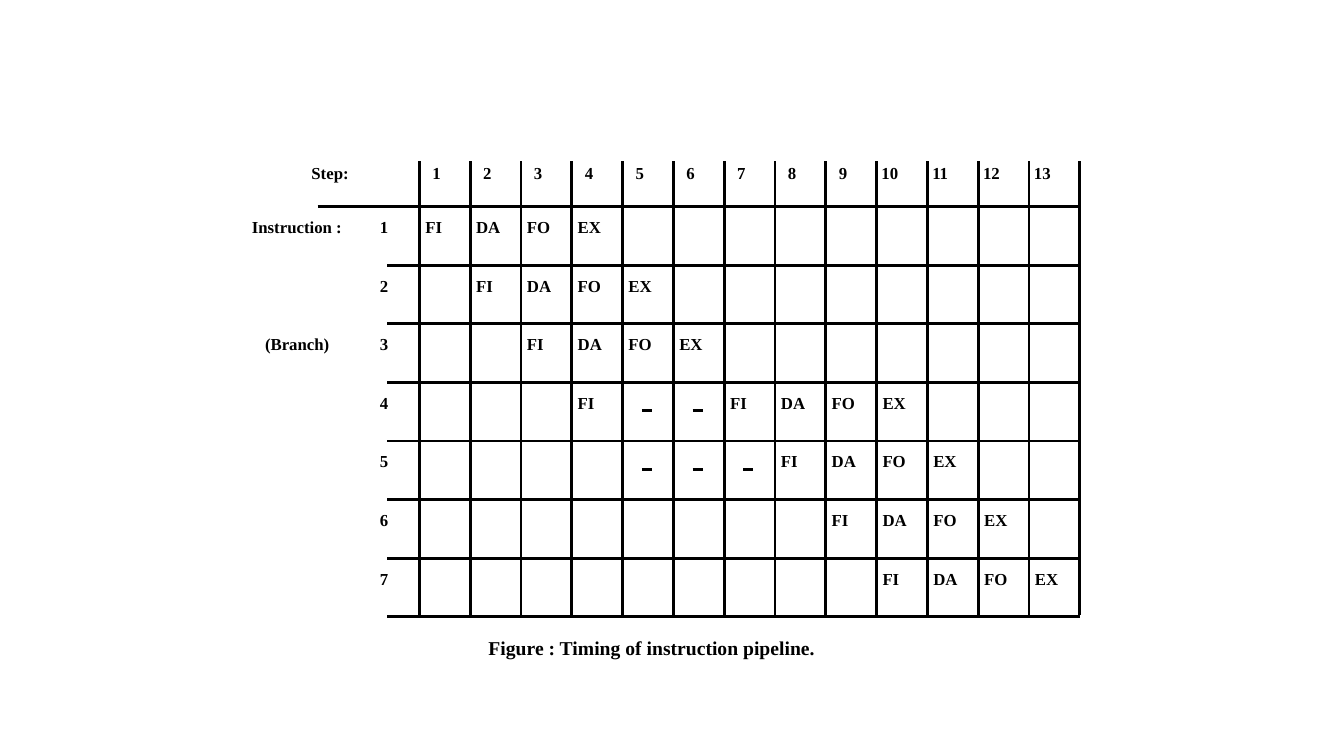
import pptx
import pptx.dml.color
import pptx.enum.shapes
import pptx.enum.text
import pptx.oxml.ns
import pptx.util
from lxml import etree
from pptx.util import Inches

COLORS = {"ink": "000000", "paper": "FFFFFF"}
FONT = "Times New Roman"

STEP_COUNT = 13
INSTRUCTION_COUNT = 7
GRID_LEFT, GRID_RIGHT = 4.16, 10.71
HEADER_TOP, GRID_TOP, GRID_BOTTOM = 1.6, 2.05, 6.12
STEP_WIDTH = (GRID_RIGHT - GRID_LEFT) / STEP_COUNT
INSTRUCTION_HEIGHT = (GRID_BOTTOM - GRID_TOP) / INSTRUCTION_COUNT
STEP_LABEL_TOP = 1.57
LABEL_OFFSET = 0.05

STAGE_WIDTHS = {"FI": 0.37, "DA": 0.45, "FO": 0.44, "EX": 0.44}
PIPELINE_STARTS = [1, 2, 3, 7, 8, 9, 10]
DISCARDED_FETCH = (4, 4)
STALLS = {4: [5, 6], 5: [5, 6, 7]}

deck = pptx.Presentation()
deck.slide_width = Inches(13.33)
deck.slide_height = Inches(7.5)
slide = deck.slides.add_slide(deck.slide_layouts[6])
slide.background.fill.solid()
slide.background.fill.fore_color.rgb = pptx.dml.color.RGBColor.from_string(COLORS["paper"])


def add_text(text, left, top, width, height=0.3, size=12, wrap=False,
             align=pptx.enum.text.PP_ALIGN.LEFT):
    box = slide.shapes.add_textbox(Inches(left), Inches(top), Inches(width), Inches(height))
    frame = box.text_frame
    frame.word_wrap = wrap
    frame.auto_size = pptx.enum.text.MSO_AUTO_SIZE.SHAPE_TO_FIT_TEXT
    paragraph = frame.paragraphs[0]
    paragraph.alignment = align
    run = paragraph.add_run()
    run.text = text
    run.font.name = FONT
    run.font.size = pptx.util.Pt(size)
    run.font.bold = True
    run.font.color.rgb = pptx.dml.color.RGBColor.from_string(COLORS["ink"])


def add_rule(x1, y1, x2, y2):
    rule = slide.shapes.add_connector(
        pptx.enum.shapes.MSO_CONNECTOR.STRAIGHT,
        Inches(x1), Inches(y1), Inches(x2), Inches(y2))
    rule.line.width = pptx.util.Pt(2)
    rule.line.color.rgb = pptx.dml.color.RGBColor.from_string(COLORS["ink"])
    etree.SubElement(rule._element.spPr, pptx.oxml.ns.qn("a:effectLst"))


step_edges = [GRID_LEFT + i * STEP_WIDTH for i in range(STEP_COUNT + 1)]
instruction_edges = [GRID_TOP + i * INSTRUCTION_HEIGHT for i in range(INSTRUCTION_COUNT + 1)]

for x in step_edges:
    add_rule(x, HEADER_TOP, x, 6.1)
for i, y in enumerate(instruction_edges):
    add_rule(3.84 if i else 3.15, y, GRID_RIGHT, y)

add_text("Step:", 2.99, STEP_LABEL_TOP, 0.58)
for step, x in enumerate(step_edges[:-1], start=1):
    if step < 10:
        add_text(str(step), x + 0.03, STEP_LABEL_TOP, 0.29)
    else:
        add_text(str(step), x - 0.05, STEP_LABEL_TOP, 0.37)

add_text("Instruction :", 2.4, instruction_edges[0] + LABEL_OFFSET, 1.11)
add_text("(Branch)", 2.53, instruction_edges[2] + LABEL_OFFSET, 0.85)

for instruction, start in enumerate(PIPELINE_STARTS, start=1):
    row_top = instruction_edges[instruction - 1]
    label_top = row_top + LABEL_OFFSET
    add_text(str(instruction), 3.67, label_top, 0.29)

    stages = [(start + i, stage) for i, stage in enumerate(STAGE_WIDTHS)]
    if instruction == DISCARDED_FETCH[0]:
        stages.insert(0, (DISCARDED_FETCH[1], "FI"))
    for step, stage in stages:
        add_text(stage, step_edges[step - 1] - 0.04, label_top, STAGE_WIDTHS[stage])

    for step in STALLS.get(instruction, []):
        dash_left = step_edges[step - 1] + 0.19
        add_rule(dash_left, row_top + 0.28, dash_left + 0.1, row_top + 0.28)

add_text("Figure : Timing of instruction pipeline.", 3.13, 6.26, 6.67, height=0.57,
         size=14, wrap=True, align=pptx.enum.text.PP_ALIGN.CENTER)

deck.save("out.pptx")
